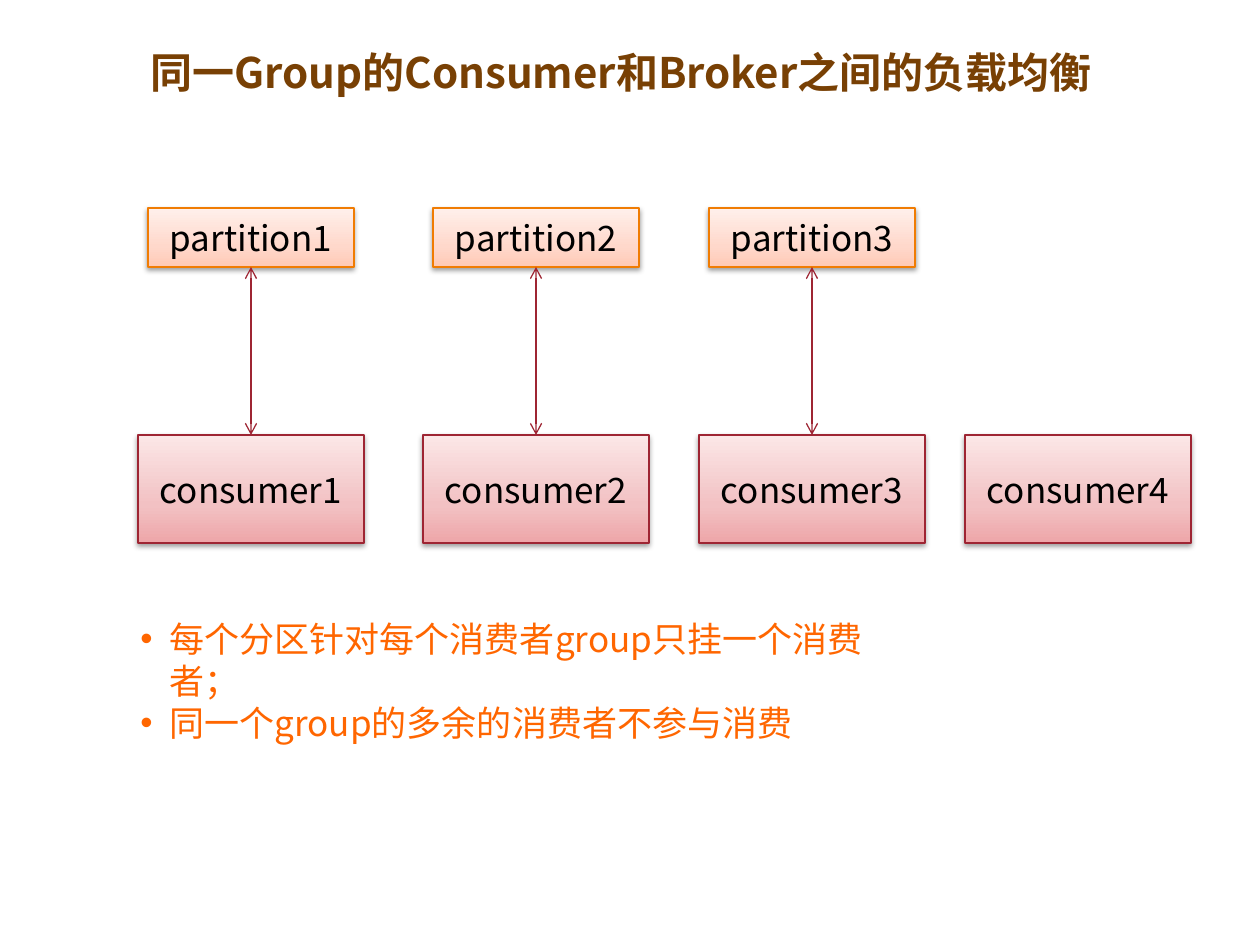
from copy import deepcopy
from dataclasses import dataclass

from lxml.etree import SubElement
from pptx import Presentation
from pptx.dml.color import RGBColor
from pptx.enum.shapes import MSO_CONNECTOR, MSO_SHAPE
from pptx.enum.text import MSO_ANCHOR, MSO_AUTO_SIZE, PP_ALIGN
from pptx.oxml.ns import qn
from pptx.shapes.autoshape import Shape
from pptx.slide import Slide
from pptx.text.text import _Paragraph
from pptx.util import Emu, Inches, Pt

FONT = "Noto Sans CJK SC"
BROWN = RGBColor(0x78, 0x40, 0x04)
ORANGE = RGBColor(0xFF, 0x66, 0x00)
BLACK = RGBColor(0x00, 0x00, 0x00)
PARTITION_LINE = RGBColor(0xF0, 0x7C, 0x03)
PARTITION_STOPS = (
    RGBColor(0xFF, 0xC9, 0xB5),
    RGBColor(0xFF, 0xD8, 0xCB),
    RGBColor(0xFF, 0xF0, 0xEB),
)
CONSUMER_LINE = RGBColor(0x9E, 0x25, 0x33)
CONSUMER_STOPS = (
    RGBColor(0xEE, 0xA6, 0xA9),
    RGBColor(0xF2, 0xC1, 0xC3),
    RGBColor(0xFB, 0xE7, 0xE7),
)
STOP_POSITIONS = (0, 0.35, 1)
COLUMN_CENTERS = (251, 536, 812, 1078)
TITLE = "同一Group的Consumer和Broker之间的负载均衡"
RULES = (
    "每个分区针对每个消费者group只挂一个消费者；",
    "同一个group的多余的消费者不参与消费",
)


@dataclass(frozen=True)
class NodeRow:
    """A row of equal boxes, numbered from the left."""

    label: str
    count: int
    top: int
    width: int
    height: int
    line: RGBColor
    stops: tuple[RGBColor, ...]


PARTITIONS = NodeRow("partition", 3, 208, 206, 59, PARTITION_LINE, PARTITION_STOPS)
CONSUMERS = NodeRow("consumer", 4, 435, 226, 108, CONSUMER_LINE, CONSUMER_STOPS)


def px(length: int) -> Emu:
    """Turn pixels into EMU."""
    return Emu(round(length * Inches(1) / 126))


def format_runs(paragraph: _Paragraph, size: int, color: RGBColor, bold: bool = False) -> None:
    """Give every run of a paragraph its font, size and colour."""
    for run in paragraph.runs:
        run.font.name = FONT
        run.font.size = Pt(size)
        run.font.bold = bold
        run.font.color.rgb = color
        SubElement(run.font._element, qn("a:ea"), typeface=FONT)


def fill_gradient(node: Shape, colors: tuple[RGBColor, ...]) -> None:
    """Fill a node with a three-stop gradient rising from the bottom."""
    node.fill.gradient()
    node.fill.gradient_angle = 90
    first_stop = node._element.spPr.find(f".//{qn('a:gs')}")
    first_stop.addnext(deepcopy(first_stop))
    for stop, position, color in zip(node.fill.gradient_stops, STOP_POSITIONS, colors):
        stop.position = position
        stop.color.rgb = color


def add_soft_shadow(node: Shape) -> None:
    """Drop a soft shadow straight down from a node."""
    node.shadow.inherit = False
    effects = node._element.spPr.find(qn("a:effectLst"))
    shadow = SubElement(
        effects,
        qn("a:outerShdw"),
        blurRad=str(Pt(3.1)),
        dist=str(Pt(1.6)),
        dir="5400000",
        rotWithShape="0",
    )
    tint = SubElement(shadow, qn("a:srgbClr"), val=str(BLACK))
    SubElement(tint, qn("a:alpha"), val="38000")


def add_node_row(slide: Slide, row: NodeRow) -> list[Shape]:
    """Draw the boxes of a row, each centred on its column."""
    nodes = []
    for number, center in enumerate(COLUMN_CENTERS[: row.count], start=1):
        node = slide.shapes.add_shape(
            MSO_SHAPE.RECTANGLE,
            px(center - row.width // 2),
            px(row.top),
            px(row.width),
            px(row.height),
        )
        fill_gradient(node, row.stops)
        node.line.color.rgb = row.line
        node.line.width = Pt(0.75)
        add_soft_shadow(node)
        frame = node.text_frame
        frame.text = f"{row.label}{number}"
        frame.vertical_anchor = MSO_ANCHOR.MIDDLE
        frame.paragraphs[0].alignment = PP_ALIGN.CENTER
        format_runs(frame.paragraphs[0], 20, BLACK)
        nodes.append(node)
    return nodes


def link(slide: Slide, partition: Shape, consumer: Shape) -> None:
    """Join a partition to its consumer with a two-headed arrow."""
    arrow = slide.shapes.add_connector(MSO_CONNECTOR.STRAIGHT, 0, 0, 0, 0)
    arrow.begin_connect(partition, 2)
    arrow.end_connect(consumer, 0)
    arrow.line.color.rgb = CONSUMER_LINE
    arrow.line.width = Pt(0.75)
    outline = arrow.line._get_or_add_ln()
    for end in ("a:headEnd", "a:tailEnd"):
        SubElement(outline, qn(end), type="arrow")
    SubElement(arrow._element.spPr, qn("a:effectLst"))


def add_title(slide: Slide) -> None:
    """Place and format the slide title."""
    title = slide.shapes.title
    title.left, title.top, title.width, title.height = px(54), px(38), px(1134), px(68)
    frame = title.text_frame
    frame.text = TITLE
    frame.auto_size = MSO_AUTO_SIZE.NONE
    frame.vertical_anchor = MSO_ANCHOR.MIDDLE
    frame.paragraphs[0].alignment = PP_ALIGN.CENTER
    format_runs(frame.paragraphs[0], 24, BROWN, bold=True)


def add_rules(slide: Slide) -> None:
    """Write the bulleted consumption rules."""
    frame = slide.shapes.add_textbox(px(128), px(611), px(770), px(97)).text_frame
    frame.word_wrap = True
    frame.auto_size = MSO_AUTO_SIZE.SHAPE_TO_FIT_TEXT
    frame.text = "\n".join(RULES)
    for paragraph in frame.paragraphs:
        paragraph.line_spacing = Pt(24)
        format_runs(paragraph, 20, ORANGE)
        properties = paragraph._element.get_or_add_pPr()
        properties.set("marL", str(px(29)))
        properties.set("indent", str(px(-29)))
        SubElement(properties, qn("a:buFont"), typeface="Arial")
        SubElement(properties, qn("a:buChar"), char="•")


def main() -> None:
    """Build and save the slide."""
    deck = Presentation()
    deck.slide_width, deck.slide_height = Inches(10), Inches(7.5)
    slide = deck.slides.add_slide(deck.slide_layouts[5])
    add_title(slide)
    partitions = add_node_row(slide, PARTITIONS)
    consumers = add_node_row(slide, CONSUMERS)
    for partition, consumer in zip(partitions, consumers):
        link(slide, partition, consumer)
    add_rules(slide)
    deck.save("out.pptx")


if __name__ == "__main__":
    main()
